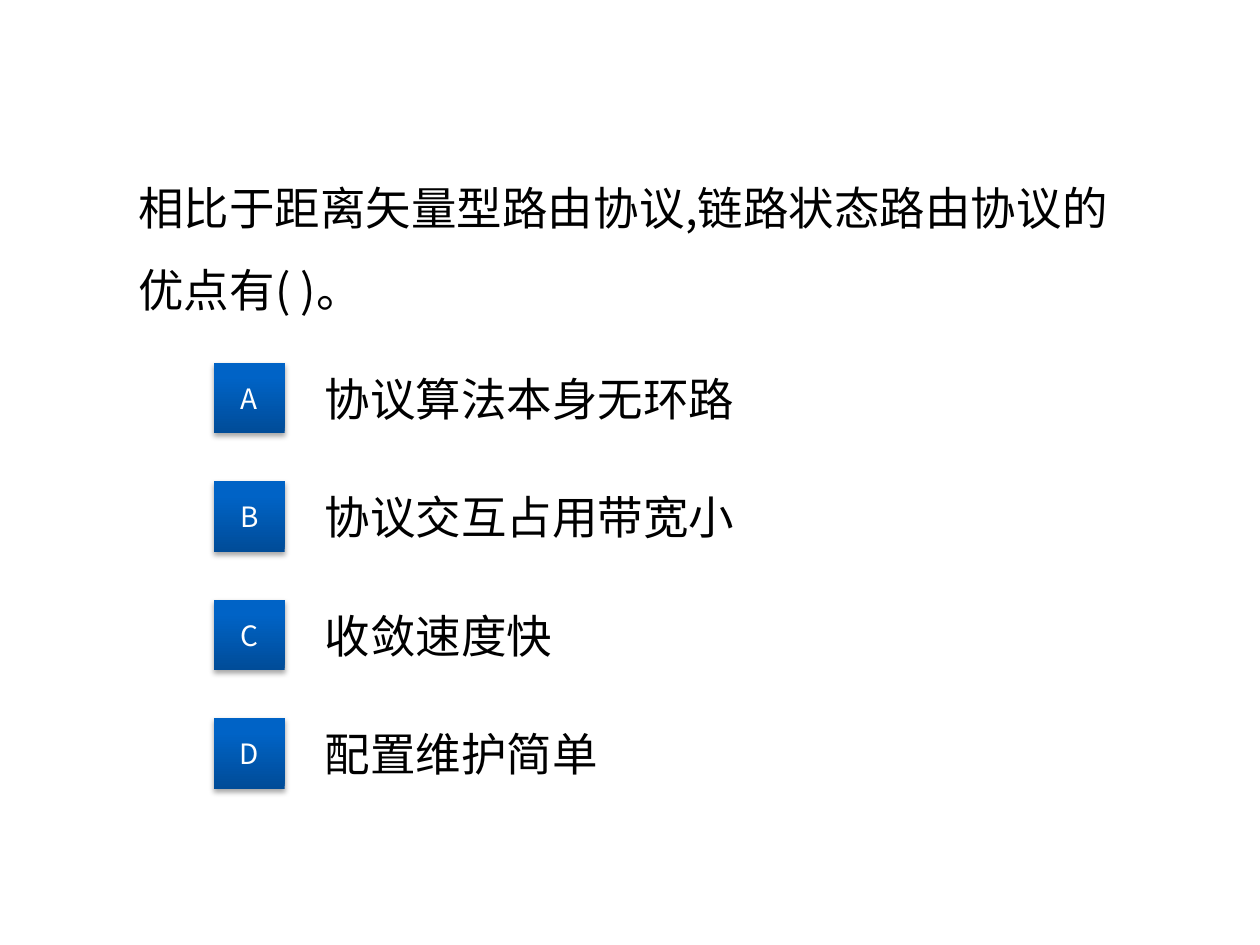
from dataclasses import dataclass

from lxml import etree
from pptx import Presentation
from pptx.dml.color import RGBColor
from pptx.enum.shapes import MSO_SHAPE
from pptx.enum.text import MSO_ANCHOR, PP_ALIGN
from pptx.oxml import parse_xml
from pptx.oxml.ns import nsdecls, qn
from pptx.util import Inches, Pt

RECTANGLE = MSO_SHAPE.RECTANGLE
MIDDLE = MSO_ANCHOR.MIDDLE
LEFT, CENTER = PP_ALIGN.LEFT, PP_ALIGN.CENTER


@dataclass(frozen=True)
class Theme:
    font: str = "Noto Sans CJK SC"
    text: str = "000000"
    letter: str = "FFFFFF"
    shadow: str = "000000"
    gradient: tuple = ((0, "004C98"), (80, "0063C6"), (100, "0063C7"))
    text_size: int = 26
    letter_size: int = 16


theme = Theme()


def write(shape, words, size, color, align=LEFT, spacing=1.0):
    frame = shape.text_frame
    frame.word_wrap = True
    frame.vertical_anchor = MIDDLE
    paragraph = frame.paragraphs[0]
    paragraph.alignment = align
    paragraph.line_spacing = spacing
    run = paragraph.add_run()
    run.text = words
    run.font.color.rgb = RGBColor.from_string(color)
    for attribute, value in {"size": Pt(size), "name": theme.font}.items():
        setattr(run.font, attribute, value)
    # East Asian glyphs take their own typeface entry
    etree.SubElement(run.font._element, qn("a:ea"), typeface=theme.font)


def style_badge(badge):
    badge.line.fill.background()
    badge.shadow.inherit = False
    stops = "".join(
        f'<a:gs pos="{position * 1000}"><a:srgbClr val="{color}"/></a:gs>'
        for position, color in theme.gradient
    )
    properties = badge._element.spPr
    properties.find(qn("a:prstGeom")).addnext(parse_xml(
        f'<a:gradFill {nsdecls("a")} rotWithShape="1"><a:gsLst>{stops}</a:gsLst>'
        '<a:lin ang="16200000" scaled="0"/></a:gradFill>'
    ))
    properties.find(qn("a:effectLst")).append(parse_xml(
        f'<a:outerShdw {nsdecls("a")} blurRad="{Pt(3.1)}" dist="{Pt(1.8)}" '
        f'dir="5400000" rotWithShape="0"><a:srgbClr val="{theme.shadow}">'
        '<a:alpha val="35000"/></a:srgbClr></a:outerShdw>'
    ))


presentation = Presentation()
presentation.slide_width = Inches(10)
presentation.slide_height = Inches(7.5)
slide = presentation.slides.add_slide(presentation.slide_layouts[6])

# Question
question = slide.shapes.add_textbox(Inches(1), Inches(0.69), Inches(8), Inches(2.34))
write(question, "相比于距离矢量型路由协议,链路状态路由协议的优点有( )。",
      theme.text_size, theme.text, spacing=1.5)

# Answers, each with its lettered badge
answers = {
    "A": "协议算法本身无环路",
    "B": "协议交互占用带宽小",
    "C": "收敛速度快",
    "D": "配置维护简单",
}
first_top, row_pitch = 2.81, 0.94
answer_height, badge_side = 0.7, 0.56

for row, (letter, answer) in enumerate(answers.items()):
    top = first_top + row * row_pitch
    option = slide.shapes.add_textbox(
        Inches(2.48), Inches(top), Inches(7), Inches(answer_height))
    write(option, answer, theme.text_size, theme.text)

    badge_top = top + (answer_height - badge_side) / 2
    badge = slide.shapes.add_shape(
        RECTANGLE, Inches(1.7), Inches(badge_top), Inches(badge_side), Inches(badge_side))
    style_badge(badge)
    write(badge, letter, theme.letter_size, theme.letter, align=CENTER)

presentation.save("out.pptx")
